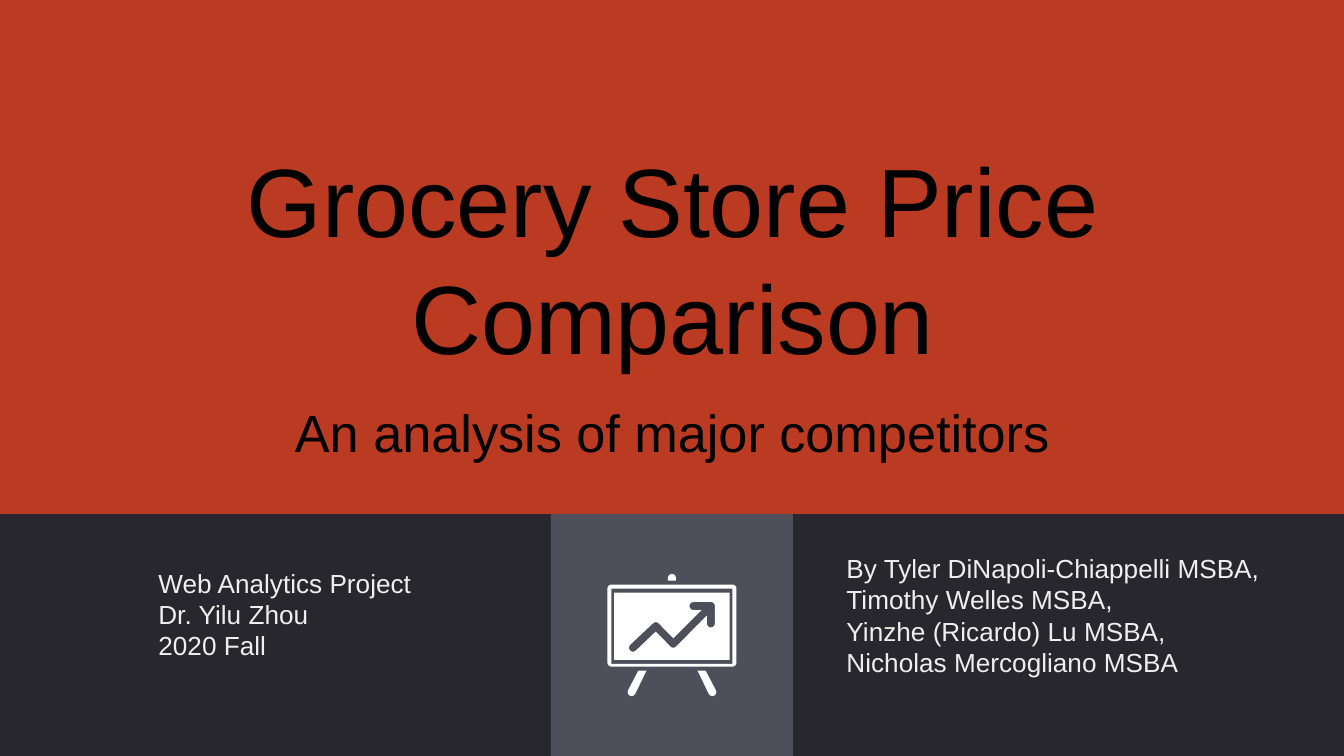
from math import cos, radians, sin

from pptx import Presentation
from pptx.dml.color import RGBColor
from pptx.enum.shapes import MSO_SHAPE
from pptx.enum.text import MSO_ANCHOR, PP_ALIGN
from pptx.util import Inches, Pt

BRICK = RGBColor(0xBA, 0x3B, 0x21)
CHARCOAL = RGBColor(0x27, 0x27, 0x2D)
SLATE = RGBColor(0x4F, 0x4F, 0x5C)
WHITE = RGBColor(0xFF, 0xFF, 0xFF)
BLACK = RGBColor(0, 0, 0)
PALE = RGBColor(0xEF, 0xEF, 0xEF)

WIDTH = 10
HEIGHT = WIDTH * 9 / 16
BAND_HEIGHT = 1.8
BAND_TOP = HEIGHT - BAND_HEIGHT


def arc(cx, cy, start, end, radius=0.03, steps=6):
    """Return points on a circle between two angles in degrees."""
    angles = [radians(start + (end - start) * i / steps) for i in range(steps + 1)]
    return [(cx + radius * cos(a), cy + radius * sin(a)) for a in angles]


def box(left, top, right, bottom):
    """Return the four corners of a rectangle."""
    return [(left, top), (right, top), (right, bottom), (left, bottom)]


class SlideBuilder:
    """Holds the text style and the slide being built."""

    font = "Arial"

    def __init__(self, slide, background):
        """Keep the slide and colour its background."""
        self.slide = slide
        slide.background.fill.solid()
        slide.background.fill.fore_color.rgb = background

    def paint(self, shape, color):
        """Give a shape a flat fill with no line or shadow."""
        shape.shadow.inherit = False
        shape.fill.solid()
        shape.fill.fore_color.rgb = color
        shape.line.fill.background()

    def rect(self, left, top, width, height, color):
        """Add a plain rectangle."""
        self.paint(self.slide.shapes.add_shape(
            MSO_SHAPE.RECTANGLE, *map(Inches, (left, top, width, height))), color)

    def outline(self, *contours, color=WHITE):
        """Add one filled freeform made of closed contours."""
        first, *others = [[(Inches(x), Inches(y)) for x, y in contour]
                          for contour in contours]
        builder = self.slide.shapes.build_freeform(*first[0])
        builder.add_line_segments(first[1:], close=True)
        for contour in others:
            builder.move_to(*contour[0])
            builder.add_line_segments(contour[1:], close=True)
        self.paint(builder.convert_to_shape(), color)

    def text(self, place, lines, size, color, align=PP_ALIGN.LEFT,
             anchor=MSO_ANCHOR.TOP):
        """Add a text box with one paragraph per line."""
        frame = self.slide.shapes.add_textbox(*map(Inches, place)).text_frame
        frame.word_wrap = True
        frame.vertical_anchor = anchor
        frame.margin_left = frame.margin_right = Inches(0.1)
        frame.margin_top = frame.margin_bottom = Inches(0.1)
        frame.text = "\n".join(lines)
        for paragraph in frame.paragraphs:
            paragraph.alignment = align
            font = paragraph.runs[0].font
            font.name, font.size, font.color.rgb = self.font, Pt(size), color


def draw_easel(page):
    """Draw the presentation board with its rising arrow."""
    frame = (arc(4.55, 4.38, 180, 270) + arc(5.45, 4.38, 270, 360)
             + arc(5.45, 4.93, 0, 90) + arc(4.55, 4.93, 90, 180))
    page.outline(frame, box(4.55, 4.38, 5.45, 4.94))
    page.outline([(4.97, 4.32), *arc(5, 4.3, 180, 360), (5.03, 4.32)])

    leg = [(4.75, 4.99), *arc(4.7, 5.15, 207, 27), (4.81, 4.99)]
    page.outline(leg)
    page.outline([(WIDTH - x, y) for x, y in leg])

    arrow = (arc(5.29, 4.51, -90, 0) + arc(5.29, 4.64, 0, 180) + [(5.26, 4.58)]
             + arc(5.01, 4.79, 45, 135) + [(4.88, 4.7)]
             + arc(4.71, 4.82, 45, 225) + arc(4.88, 4.66, 225, 315)
             + [(5.01, 4.75), (5.22, 4.54)] + arc(5.16, 4.51, 90, 270))
    page.outline(box(4.57, 4.41, 5.43, 4.91), arrow)


def main():
    """Build and save the title slide."""
    deck = Presentation()
    deck.slide_width, deck.slide_height = Inches(WIDTH), Inches(HEIGHT)
    page = SlideBuilder(deck.slides.add_slide(deck.slide_layouts[6]), BRICK)

    page.rect(0, BAND_TOP, WIDTH, BAND_HEIGHT, CHARCOAL)
    page.rect((WIDTH - BAND_HEIGHT) / 2, BAND_TOP, BAND_HEIGHT, BAND_HEIGHT, SLATE)
    page.text((1.08, 0, 7.85, BAND_TOP), ["Grocery Store Price Comparison"],
              52, BLACK, PP_ALIGN.CENTER, MSO_ANCHOR.MIDDLE)
    draw_easel(page)
    page.text((0.34, 2.88, 9.32, 0.87), ["An analysis of major competitors"],
              28, BLACK, PP_ALIGN.CENTER)
    page.text((6.2, 4.01, 3.56, 1.61),
              ["By Tyler DiNapoli-Chiappelli MSBA, Timothy Welles MSBA,",
               "Yinzhe (Ricardo) Lu MSBA,", "Nicholas Mercogliano MSBA"], 14, PALE)
    page.text((1.08, 4.12, 3.28, 1.5),
              ["Web Analytics Project", "Dr. Yilu Zhou", "2020 Fall"], 14, PALE)
    deck.save("out.pptx")


main()
